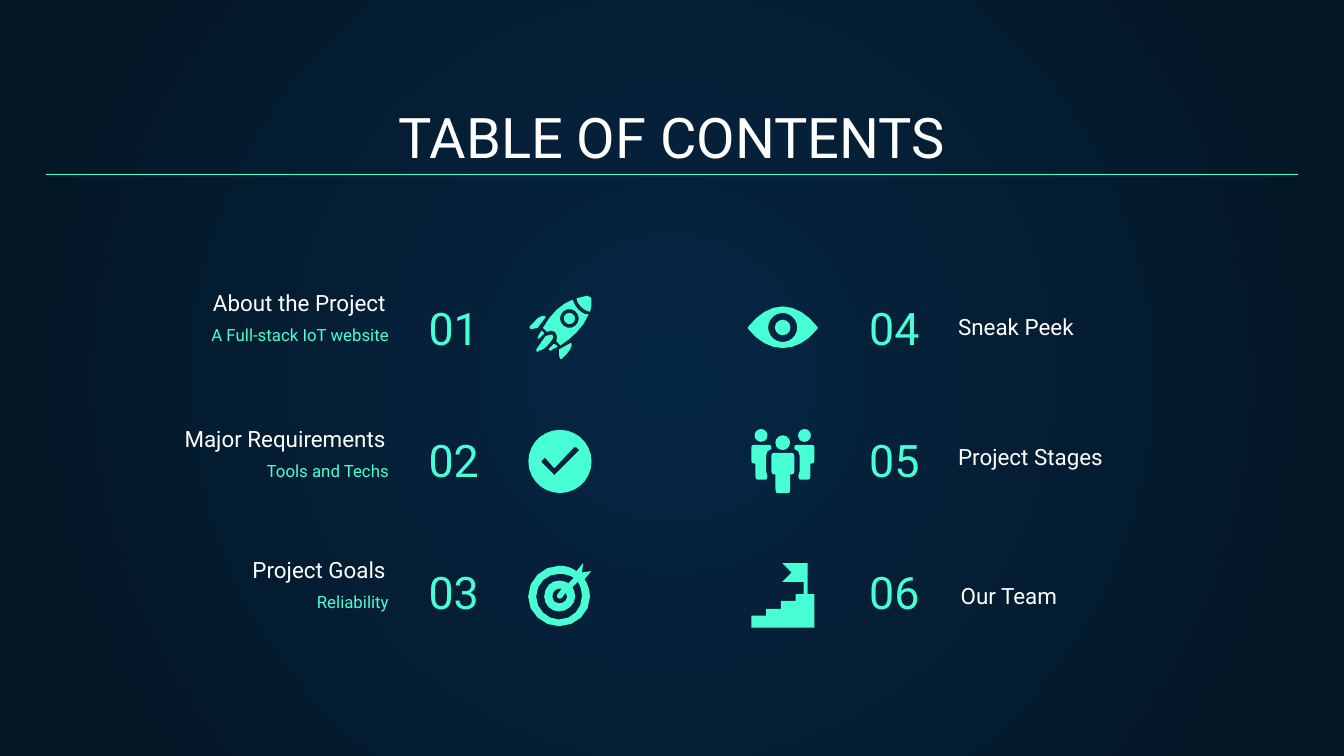
import math
from dataclasses import dataclass

import pptx
import pptx.dml.color
import pptx.enum.shapes
import pptx.enum.text
import pptx.oxml
import pptx.oxml.ns
import pptx.util

Pt = pptx.util.Pt
ALIGN = pptx.enum.text.PP_ALIGN
ANCHOR = pptx.enum.text.MSO_ANCHOR

FONT = "Roboto"
WHITE, MINT = "FFFFFF", "48FFD5"
GLOW, NIGHT = "052643", "041523"
ICON_UNIT = 0.72  # points per unit of the icon outlines
NUMBER_TOP, ROW_PITCH = 149.76, 70.56
SUBTITLE_DROP = 5.5


@dataclass
class Entry:
    number: str
    label: str
    left: float
    top: float
    height: float
    subtitle: str = ""


@dataclass
class Disc:
    x: float
    y: float
    radius: float


LEFT_ENTRIES = [
    Entry("01", "About the Project", 50.4, 161.3, 15.1, "A Full-stack IoT website"),
    Entry("02", "Major Requirements", 50.4, 234, 15.1, "Tools and Techs"),
    Entry("03", "Project Goals", 50.4, 304.4, 15.1, "Reliability"),
]
RIGHT_ENTRIES = [
    Entry("04", "Sneak Peek", 506.2, 162, 27.4),
    Entry("05", "Project Stages", 506.2, 235.4, 23.8),
    Entry("06", "Our Team", 507.6, 306, 27.4),
]

# Outlines: M move, L lines, C cubic curves, O circle (centre and radius)
ROCKET = [
    "M 403 246 L 401 249 400 252 401 252 405 248",
    "M 413 256 L 412 256 408 260 410 261 411 260 415 258",
    "M 410 249 L 406 250 399 260 399 261 400 262 401 261"
    " C 403 261 406 259 410 254 C 412 253 412 250 411 249",
    "M 405 235 C 403 235 400 236 398 239 L 394 243 394 244 395 245 400 244 406 236",
    "M 425 255 L 416 260 416 265 417 267 418 267 422 263 C 425 260 426 256 425 255",
    Disc(423.7, 237, 4.2),
    "M 437 220 L 429 222 C 429 224 430 226 432 228 434 230 437 232 439 232"
    " L 440 228 440 222 439 221",
    "O 423.7 237 7 M 426 223 C 418 226 410 233 404 244 L 407 247"
    " 410 246 413 247 414.5 250 414 254 417 257"
    " C 425 252 434 244 438 234 435 234 433 233 430 230 428 228 427 225 426 223",
]
CHECK = [
    "O 416.7 343.4 23.5 M 428 333 L 429 333 431 335 430 336 413 353 412.5 354"
    " 412 353 403 344 403 343 405 341 406 341 412 348 413 348 427 333",
]
TARGET = [
    "M 416 438 L 418 438 415 442 414.3 443.5 415 445 416.5 445.5 418 445 421 441"
    " C 422 442 422 443 422 444 422 447 419 449 416 449 413 449 411 447 411 444"
    " C 411 441 413 438 416 438"
    " M 416 427 C 420 427 424 428 427 430 L 423 434 C 421 433 419 432 416 432"
    " C 410 432 405 437 405 444 405 450 410 455 416 455 422 455 428 450 428 444"
    " C 428 441 427 439 426 437 L 430 433 C 432 436 433 440 433 444"
    " C 433 453 426 461 416 461 407 461 399 453 399 444 399 434 407 427 416 427"
    " M 434 419 L 429 425 C 425 422 421 421 416 421 404 421 393 431 393 444"
    " C 393 456 404 466 416 466 429 466 439 456 439 444 439 439 437 434 435 431"
    " L 440 425 433 426",
]
EYE = [
    "M 582.3 228 C 573 228 564 234 557 243 L 556.3 244 557 245"
    " C 564 254 573 259 582.3 259 592 259 601 254 608 245 L 608.5 244 608 243"
    " C 601 234 592 228 582.3 228 O 582.4 243.7 10.8 O 582.4 243.7 5.8",
]
TEAM = [
    Disc(566.3, 324, 4.8),
    "M 561 331 L 559.5 331.5 559 333 559 343 559.5 344.5 561 345 562 345 562 354"
    " 562.5 356.5 564 357 569 357 570.5 356.5 571 354 570 351 570 339"
    " 571 336 574 334 574 333 573.5 331.5 571 331",
    Disc(598.6, 324, 4.8),
    "M 593 331 L 591.5 331.5 591 333 591 334 594 336 595 339 595 351 594 354"
    " 594.5 356.5 596 357 601 357 602.5 356.5 603 354 603 345 604 345"
    " 605.5 344.5 606 343 606 333 605.5 331.5 604 331",
    "M 576 337 L 574.5 337.5 574 339 574 351 574.5 352.5 576 353 577 353 577 364"
    " 577.5 366.5 579 367 586 367 587.5 366.5 588 364 588 353 589 353"
    " 590.5 352.5 591 351 591 339 590.5 337.5 589 337",
    Disc(582.4, 329.4, 5.5),
]
STAIRS = [
    "M 582 419 L 589 426 582 433 598 433 598 442 592 442 592 447 581 447 581 453"
    " 570 453 570 458 559 458 559 467 606 467 606 442 601 442 601 419",
]
ICONS = [ROCKET, CHECK, TARGET, EYE, TEAM, STAIRS]


def rgb(color: str) -> pptx.dml.color.RGBColor:
    return pptx.dml.color.RGBColor.from_string(color)


def write(shape, text: str, size: float, color: str, align, anchor) -> None:
    frame = shape.text_frame
    frame.word_wrap = True
    frame.auto_size = pptx.enum.text.MSO_AUTO_SIZE.NONE
    frame.vertical_anchor = anchor
    frame.margin_left = frame.margin_right = Pt(7.2)
    frame.margin_top = frame.margin_bottom = Pt(7.2)
    frame.text = text
    paragraph = frame.paragraphs[0]
    paragraph.alignment = align
    font = paragraph.runs[0].font
    font.name, font.size, font.color.rgb = FONT, Pt(size), rgb(color)


def add_text(slide, box: tuple, text: str, size: float, color: str, align,
             anchor=ANCHOR.BOTTOM) -> None:
    write(slide.shapes.add_textbox(*map(Pt, box)), text, size, color, align, anchor)


def contours(outline: str) -> list:
    """Turn an outline into lists of points, one list for each closed contour."""
    found, command, numbers = [], "", []
    sizes = {"M": 2, "L": 2, "C": 6, "O": 3}
    for token in outline.split():
        if token in sizes:
            command = token
            continue
        numbers.append(float(token))
        if len(numbers) < sizes[command]:
            continue
        if command == "M":
            found.append([tuple(numbers)])
        elif command == "L":
            found[-1].append(tuple(numbers))
        elif command == "C":
            points = [found[-1][-1], *zip(numbers[::2], numbers[1::2])]
            steps = max(1, min(4, round(math.dist(points[0], points[3]) / 3)))
            for step in range(1, steps + 1):
                t = step / steps
                weights = [math.comb(3, k) * t**k * (1 - t)**(3 - k) for k in range(4)]
                found[-1].append(tuple(
                    sum(w * p[axis] for w, p in zip(weights, points)) for axis in (0, 1)))
        else:
            x, y, radius = numbers
            steps = max(12, min(28, round(2 * radius)))
            angles = [math.tau * k / steps for k in range(steps)]
            found.append([(x + radius * math.cos(a), y + radius * math.sin(a)) for a in angles])
        numbers = []
    return found


def add_part(shapes, part) -> None:
    if isinstance(part, Disc):
        box = (part.x - part.radius, part.y - part.radius, 2 * part.radius, 2 * part.radius)
        shape = shapes.add_shape(pptx.enum.shapes.MSO_SHAPE.OVAL,
                                 *(Pt(ICON_UNIT * n) for n in box))
    else:
        builder = None
        for contour in contours(part):
            start, *rest = [(Pt(ICON_UNIT * x), Pt(ICON_UNIT * y)) for x, y in contour]
            if builder is None:
                builder = shapes.build_freeform(*start, scale=1.0)
            else:
                builder.move_to(*start)
            builder.add_line_segments(rest, close=True)
        shape = builder.convert_to_shape()
    shape.shadow.inherit = False
    shape.fill.solid()
    shape.fill.fore_color.rgb = rgb(MINT)
    shape.line.fill.background()


def paint_background(slide) -> None:
    fill = slide.background.fill
    fill.gradient()
    for stop, color in zip(fill.gradient_stops, (GLOW, NIGHT)):
        stop.color.rgb = rgb(color)
    gradient = slide._element.find(".//" + pptx.oxml.ns.qn("a:gradFill"))
    gradient.replace(gradient.find(pptx.oxml.ns.qn("a:lin")), pptx.oxml.parse_xml(
        f'<a:path {pptx.oxml.ns.nsdecls("a")} path="circle">'
        '<a:fillToRect l="50000" t="50000" r="50000" b="50000"/></a:path>'))


def main() -> None:
    deck = pptx.Presentation()
    deck.slide_width, deck.slide_height = Pt(720), Pt(405)
    slide = deck.slides.add_slide(deck.slide_layouts[5])
    paint_background(slide)

    # Title and its rule
    title = slide.shapes.title
    title.left, title.top, title.width, title.height = map(Pt, (24.5, 50.4, 671, 47.5))
    write(title, "TABLE OF CONTENTS", 30, WHITE, ALIGN.CENTER, ANCHOR.BOTTOM)
    rule = slide.shapes.add_connector(pptx.enum.shapes.MSO_CONNECTOR.STRAIGHT,
                                      Pt(24.5), Pt(93.6), Pt(695.5), Pt(93.6))
    rule.line.color.rgb = rgb(MINT)
    rule.line.width = Pt(0.75)
    rule._element.spPr.append(
        pptx.oxml.parse_xml(f'<a:effectLst {pptx.oxml.ns.nsdecls("a")}/>'))

    # Numbered entries, aligned towards the middle of the slide
    for entries, number_left, number_align, label_align in (
            (LEFT_ENTRIES, 222.5, ALIGN.LEFT, ALIGN.RIGHT),
            (RIGHT_ENTRIES, 406.8, ALIGN.RIGHT, ALIGN.LEFT)):
        for row, entry in enumerate(entries):
            add_text(slide, (number_left, NUMBER_TOP + row * ROW_PITCH, 92.9, 47.5),
                     entry.number, 24, MINT, number_align)
            add_text(slide, (entry.left, entry.top, 163.4, entry.height),
                     entry.label, 12, WHITE, label_align)
            if entry.subtitle:
                add_text(slide, (56.9, entry.top + SUBTITLE_DROP, 158.4, 39.6),
                         entry.subtitle, 9, MINT, label_align, ANCHOR.TOP)

    # Icons, grouped when made of several parts
    for icon in ICONS:
        shapes = slide.shapes.add_group_shape().shapes if len(icon) > 1 else slide.shapes
        for part in icon:
            add_part(shapes, part)

    deck.save("out.pptx")


if __name__ == "__main__":
    main()
